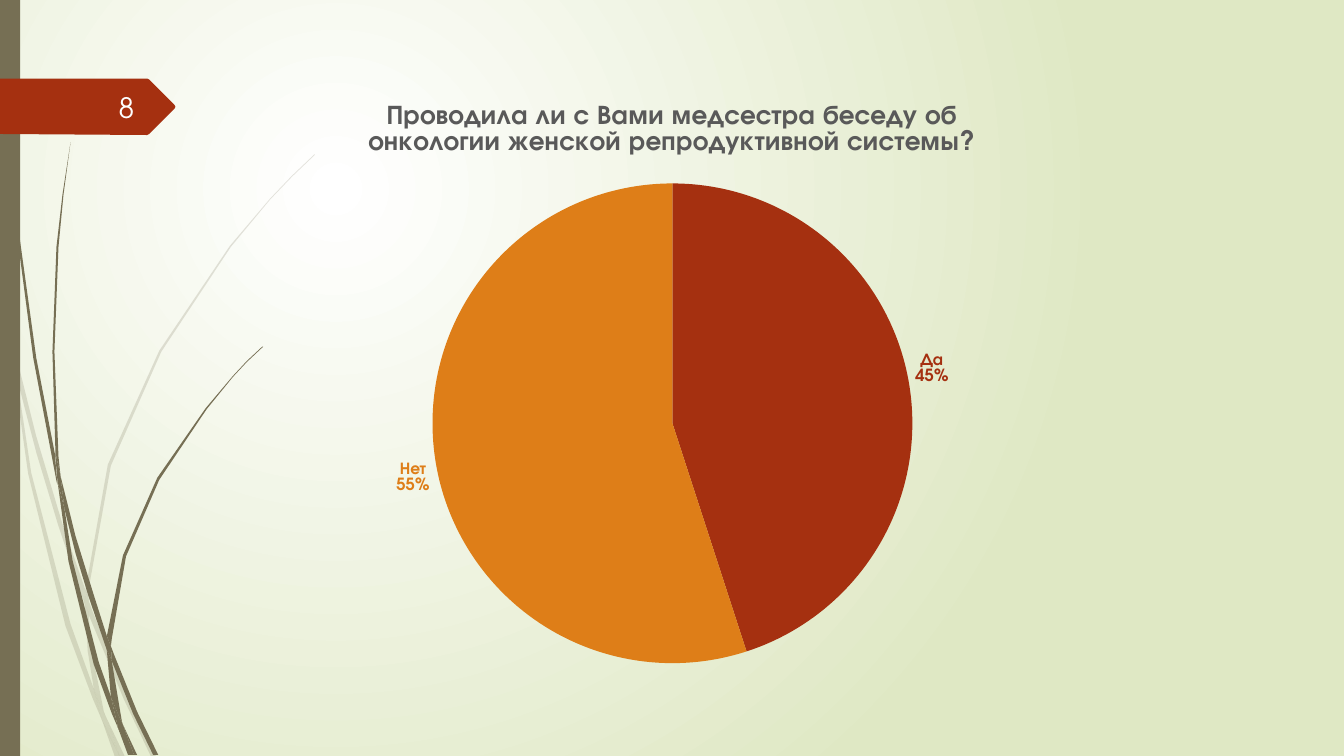
from dataclasses import dataclass

from lxml import etree
from pptx import Presentation
from pptx.chart.data import CategoryChartData
from pptx.dml.color import RGBColor
from pptx.enum.chart import XL_CHART_TYPE, XL_LABEL_POSITION
from pptx.enum.shapes import MSO_SHAPE
from pptx.enum.text import MSO_ANCHOR, PP_ALIGN
from pptx.oxml import parse_xml
from pptx.oxml.ns import nsdecls, qn
from pptx.util import Inches, Pt


@dataclass(frozen=True)
class Theme:
    font: str = "TeX Gyre Adventor"
    olive: str = "766F54"
    red: str = "A53010"
    orange: str = "DE7E18"
    grey: str = "595959"
    light: str = "FEFFFF"
    bg_inner: str = "FFFFFF"
    bg_outer: str = "DFE8C4"
    title: float = 19.2
    label: float = 12
    number: float = 20


THEME = Theme()

PALE_GRASS = [
    "0.11,3.5 0.09,3.22 0,2.82 0,2.99 0.1,3.44",
    "0.58,5.22 0.84,5.99 0.85,5.86 0.62,5.2 0.36,4.33 0.14,3.45 0.17,3.76 0.36,4.49",
    "0.92,6.07 0.88,5.96 0.88,6.1 1.23,6.94 1.5,7.51 1.55,7.51 1.27,6.92",
    "1.19,7.51 1.24,7.51 1.05,7.11",
    "0.93,6.83 0.7,6.19 0.31,4.69 0.17,3.76 0.11,3.5 0.28,4.7 0.65,6.21 0.92,6.93 1.01,7.14 0.99,7.07",
    "0.84,5.99 0.87,6.46 0.93,6.83 0.96,6.92 1.05,7.11 1.03,7.06 0.91,6.46 0.88,6.1 0.88,6.08",
    "0.88,5.84 1.1,4.62 1.6,3.49 2.29,2.45 2.68,1.98 2.9,1.75 3.12,1.54 3.12,1.53 2.89,1.75 "
    "2.68,1.97 2.28,2.44 1.58,3.48 1.07,4.61 0.85,5.84 0.85,5.86 0.88,5.96",
    "1.01,7.14 1.14,7.51 1.19,7.51",
    "0.88,6.08 0.88,6.1 0.88,5.96 0.85,5.86 0.84,5.99",
    "0.96,6.92 0.93,6.83 0.99,7.07 1.01,7.14 1.19,7.51 1.05,7.11",
]
DARK_GRASS = [
    "0.07,1.1 0.17,2.33 0.33,3.55 0.56,4.77 0.57,4.81 0.55,4.57 0.55,4.53 0.36,3.55 0.19,2.32 "
    "0.08,1.09 0.05,0.48 0.04,0 0.03,0 0.04,0.48",
    "0.88,5.92 1.06,6.45 1.06,6.33 1.06,6.31 0.93,5.9 0.75,5.32 0.6,4.72 0.64,5.05 0.75,5.49",
    "1.13,6.49 1.1,6.41 1.11,6.56 1.32,7.08 1.52,7.49 1.57,7.49 1.36,7.06",
    "1.1,6.91 0.98,6.57 0.72,5.56 0.64,5.05 0.57,4.77 0.68,5.57 0.93,6.59 1.11,7.08 1.17,7.22 1.16,7.17",
    "0.6,4.72 0.58,4.53 0.54,3.49 0.58,2.45 0.63,1.93 0.7,1.41 0.62,1.93 0.56,2.45 0.52,3.49 0.55,4.49",
    "1.33,7.49 1.36,7.49 1.22,7.19",
    "0.57,4.77 0.64,5.05 0.6,4.72 0.55,4.49 0.55,4.53",
    "1.11,6.33 1.25,5.52 1.58,4.76 2.05,4.06 2.31,3.74 2.45,3.59 2.61,3.44 2.6,3.44 2.45,3.58 "
    "2.31,3.73 2.04,4.05 1.56,4.74 1.22,5.51 1.06,6.31 1.1,6.41",
    "1.17,7.22 1.27,7.49 1.31,7.49",
    "1.06,6.45 1.1,6.91 1.16,7.06 1.22,7.19 1.21,7.16 1.11,6.56 1.09,6.51",
    "1.06,6.45 1.09,6.51 1.11,6.56 1.1,6.41 1.06,6.31 1.06,6.33",
    "1.16,7.06 1.1,6.91 1.16,7.17 1.17,7.22 1.3,7.49 1.33,7.49 1.22,7.19",
]
NUMBER_TAG = "0,0.78 1.46,0.78 1.48,0.79 1.73,1.04 1.74,1.06 1.73,1.08 1.48,1.33 1.46,1.34 0,1.33"


def rgb(color):
    return RGBColor.from_string(color)


def style_font(font, size, color, bold=False):
    font.name, font.size, font.bold = THEME.font, Pt(size), bold
    font.color.rgb = rgb(color)


def paint(sp, color, opacity=100):
    sp.shadow.inherit = False
    sp.fill.solid()
    sp.fill.fore_color.rgb = rgb(color)
    sp.line.fill.background()
    if opacity < 100:
        clr = sp._element.spPr.find(qn("a:solidFill"))[0]
        etree.SubElement(clr, qn("a:alpha")).set("val", str(opacity * 1000))


def add_outline(shapes, outline, color, opacity=100):
    pts = [tuple(Inches(float(v)) for v in pair.split(",")) for pair in outline.split()]
    builder = shapes.build_freeform(*pts[0], scale=1.0)
    builder.add_line_segments(pts[1:], close=True)
    paint(builder.convert_to_shape(), color, opacity)


def add_grass(s, blades, opacity):
    group = s.shapes.add_group_shape()
    for blade in blades:
        add_outline(group.shapes, blade, THEME.olive, opacity)


def set_background(s):
    fill = s.background.fill
    fill.gradient()
    for stop, color in zip(fill.gradient_stops, (THEME.bg_inner, THEME.bg_outer)):
        stop.color.rgb = rgb(color)
    grad = s._element.xpath(".//a:gradFill")[0]
    grad.replace(grad.find(qn("a:lin")), parse_xml(
        f'<a:path {nsdecls("a")} path="circle">'
        '<a:fillToRect l="50000" t="50000" r="100000" b="100000"/></a:path>'))


def add_number(s, text):
    tf = s.shapes.add_textbox(Inches(0.58), Inches(0.86), Inches(0.85), Inches(0.4)).text_frame
    tf.word_wrap, tf.vertical_anchor = True, MSO_ANCHOR.MIDDLE
    p = tf.paragraphs[0]
    p.alignment = PP_ALIGN.RIGHT
    r = p.add_run()
    r.text = text
    style_font(r.font, THEME.number, THEME.light)


def show_category_and_percent(labels):
    for tag, value in (("showVal", "0"), ("showCatName", "1"), ("showPercent", "1")):
        for el in labels.xpath(f".//c:{tag}"):
            el.set("val", value)
    for el in labels.xpath(".//c:showBubbleSize"):
        el.addnext(parse_xml(f'<c:separator {nsdecls("c")}>\n</c:separator>'))


def add_pie(s, title, answers):
    left, top, width, height = 2.22, 0.79, 8.89, 5.93
    data = CategoryChartData()
    data.categories = [name for name, _, _ in answers]
    data.add_series("Series 1", [value for _, value, _ in answers])
    chart = s.shapes.add_chart(XL_CHART_TYPE.PIE, Inches(left), Inches(top),
                               Inches(width), Inches(height), data).chart
    chart.has_legend = False
    style_font(chart.font, THEME.label, THEME.grey)
    chart.has_title = True
    r = chart.chart_title.text_frame.paragraphs[0].add_run()
    r.text = title
    style_font(r.font, THEME.title, THEME.grey, bold=True)
    chart.plots[0].vary_by_categories = True
    series = chart.plots[0].series[0]
    series.data_labels.position = XL_LABEL_POSITION.OUTSIDE_END
    for i, (_, _, color) in enumerate(answers):
        point = series.points[i]
        point.format.fill.solid()
        point.format.fill.fore_color.rgb = rgb(color)
        point.format.line.fill.background()
        style_font(point.data_label.font, THEME.label, color, bold=True)
        point.data_label.position = XL_LABEL_POSITION.OUTSIDE_END
    show_category_and_percent(series.data_labels._element)
    pie = {"x": (4.29 - left) / width, "y": (1.82 - top) / height, "w": 4.76 / width, "h": 4.76 / height}
    area = chart._chartSpace.xpath(".//c:plotArea")[0]
    for old in area.findall(qn("c:layout")):
        area.remove(old)
    area.insert(0, parse_xml(
        f'<c:layout {nsdecls("c")}><c:manualLayout><c:layoutTarget val="inner"/>'
        '<c:xMode val="edge"/><c:yMode val="edge"/>'
        + "".join(f'<c:{k} val="{v:.4f}"/>' for k, v in pie.items())
        + '</c:manualLayout></c:layout>'))


def main():
    prs = Presentation()
    prs.slide_width, prs.slide_height = Inches(13.33), Inches(7.5)
    s = prs.slides.add_slide(prs.slide_layouts[6])
    set_background(s)
    add_grass(s, PALE_GRASS, 20)
    add_grass(s, DARK_GRASS, 100)
    paint(s.shapes.add_shape(MSO_SHAPE.RECTANGLE, 0, 0, Inches(0.2), prs.slide_height), THEME.olive)
    add_outline(s.shapes, NUMBER_TAG, THEME.red)
    add_number(s, "8")
    add_pie(s, "Проводила ли с Вами медсестра беседу об онкологии женской репродуктивной системы?",
            [("Да", 45, THEME.red), ("Нет", 55, THEME.orange)])
    prs.save("out.pptx")


if __name__ == "__main__":
    main()
